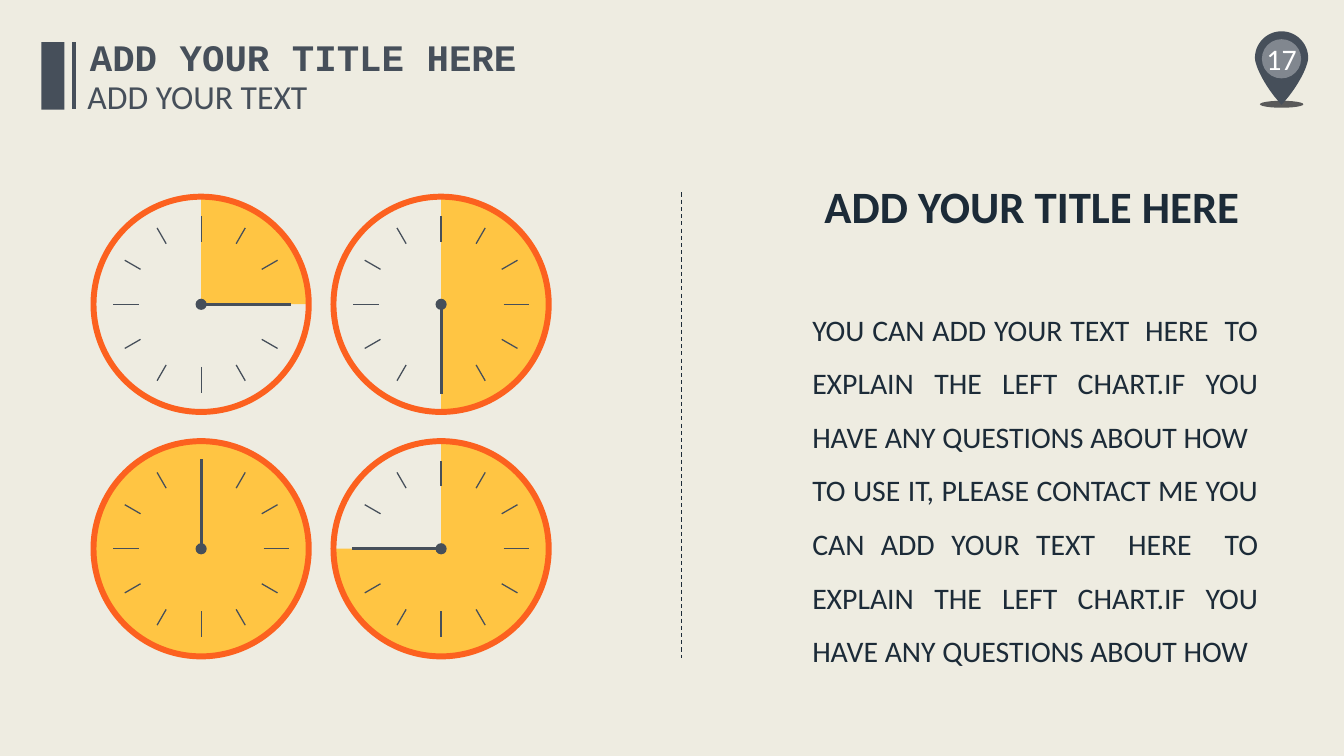
import math
from dataclasses import dataclass

import lxml.etree
import pptx
import pptx.chart.data
import pptx.dml.color
import pptx.enum.chart
import pptx.enum.dml
import pptx.enum.shapes
import pptx.enum.text
import pptx.oxml
import pptx.oxml.ns
import pptx.util

Pt = pptx.util.Pt
SHAPE = pptx.enum.shapes.MSO_SHAPE
ALIGN = pptx.enum.text.PP_ALIGN
ANCHOR = pptx.enum.text.MSO_ANCHOR


@dataclass
class Theme:
    """Colours, fonts and type sizes of the slide."""
    paper: str = "EEECE1"
    slate: str = "464F5A"
    navy: str = "1C2B38"
    orange: str = "FC611F"
    amber: str = "FFC543"
    shade: str = "595959"
    white: str = "FFFFFF"
    sans: str = "Calibri"
    mono: str = "Courier New"
    heading: float = 32
    title: float = 26.7
    subtitle: float = 24
    body: float = 21.3
    chart: float = 18


theme = Theme()
rgb = pptx.dml.color.RGBColor.from_string


def write(sp, text, size, color, font=theme.sans, bold=False, align=ALIGN.LEFT,
          anchor=ANCHOR.TOP, wrap=False, spacing=1.0):
    """Fill a shape with text, one paragraph per line, in one format."""
    tf = sp.text_frame
    tf.text = text
    tf.word_wrap = wrap
    tf.auto_size = pptx.enum.text.MSO_AUTO_SIZE.NONE
    tf.vertical_anchor = anchor
    for p in tf.paragraphs:
        p.alignment = align
        p.line_spacing = spacing
        p.space_before = Pt(0)
        f = p.runs[0].font
        f.size, f.name, f.bold = Pt(size), font, bold
        f.color.rgb = rgb(color)


def draw(kind, box, color, width=None):
    """Add a filled preset shape in a box, or a line from (x, y) to (x, y) if it has a width."""
    a, b, c, d = (Pt(round(v, 2)) for v in box)
    if width:
        sp = s.shapes.add_connector(kind, a, b, c, d)
        sp.line.color.rgb = rgb(color)
        sp.line.width = Pt(width)
        lxml.etree.SubElement(sp.element.spPr, pptx.oxml.ns.qn("a:effectLst"))
        return sp
    sp = s.shapes.add_shape(kind, a, b, c, d)
    sp.shadow.inherit = False
    sp.fill.solid()
    sp.fill.fore_color.rgb = rgb(color)
    sp.line.fill.background()
    return sp


LINE = pptx.enum.shapes.MSO_CONNECTOR.STRAIGHT

prs = pptx.Presentation()
prs.slide_width, prs.slide_height = Pt(960), Pt(540)
s = prs.slides.add_slide(prs.slide_layouts[1])
s.background.fill.solid()
s.background.fill.fore_color.rgb = rgb(theme.paper)
title, body = s.placeholders[0], s.placeholders[1]

# Page number pin
PIN_X, PIN_Y, PIN_R, TIP_Y = 915.4, 41.4, 19, 74.9
draw(SHAPE.OVAL, (900, 72, 31, 5), theme.shade)
outline = [(PIN_X + PIN_R * math.cos(math.radians(a)), PIN_Y - PIN_R * math.sin(math.radians(a)))
           for a in range(0, 181, 5)]
side = []
for step in range(1, 13):
    t = step / 12
    dx = PIN_R * (1 - t) ** 3 + 57 * t * (1 - t) ** 2 + 36 * t ** 2 * (1 - t)
    y = (PIN_Y * (1 - t) ** 3 + 3 * 47 * t * (1 - t) ** 2
         + 3 * 62 * t ** 2 * (1 - t) + TIP_Y * t ** 3)
    side.append((dx, y))
outline += [(PIN_X - dx, y) for dx, y in side]
outline += [(PIN_X + dx, y) for dx, y in reversed(side[:-1])]
builder = s.shapes.build_freeform(round(outline[0][0] * 100), round(outline[0][1] * 100),
                                  scale=Pt(1) / 100)
builder.add_line_segments([(round(x * 100), round(y * 100)) for x, y in outline[1:]], close=True)
pin = builder.convert_to_shape()
pin.shadow.inherit = False
pin.fill.solid()
pin.fill.fore_color.rgb = rgb(theme.slate)
pin.line.fill.background()
disc = draw(SHAPE.OVAL, (901.4, 28, 28, 28), theme.white)
disc_color = disc.element.spPr.find(".//" + pptx.oxml.ns.qn("a:srgbClr"))
lxml.etree.SubElement(disc_color, pptx.oxml.ns.qn("a:alpha"), val="32000")
number = s.shapes.add_textbox(Pt(885.4), Pt(27.4), Pt(60), Pt(28.8))
write(number, "17", theme.body, theme.white, align=ALIGN.CENTER, anchor=ANCHOR.MIDDLE)

divider = draw(LINE, (486.7, 137.5, 486.7, 470.2), theme.navy, 0.75)
divider.line.dash_style = pptx.enum.dml.MSO_LINE.DASH

# Clocks: a pie under a ring, twelve ticks, a hand and a hub
LEFT, TOP, COL_GAP, ROW_GAP = 143.7, 217.4, 171.4, 174.6
RING_R, PIE_SIDE, HAND, HUB_R = 79, 173.6, 64, 4
for i, percent in enumerate((25, 50, 100, 75)):
    cx, cy = LEFT + i % 2 * COL_GAP, TOP + i // 2 * ROW_GAP

    data = pptx.chart.data.CategoryChartData()
    data.categories = ["1", "2"]
    data.add_series("Series 1", (percent, 100 - percent))
    chart = s.shapes.add_chart(pptx.enum.chart.XL_CHART_TYPE.PIE,
                               Pt(cx - PIE_SIDE / 2), Pt(cy - PIE_SIDE / 2),
                               Pt(PIE_SIDE), Pt(PIE_SIDE), data).chart
    chart.has_legend = chart.has_title = False
    chart.font.size, chart.font.name = Pt(theme.chart), theme.sans
    chart.plots[0].vary_by_categories = True
    points = chart.plots[0].series[0].points
    points[0].format.fill.solid()
    points[0].format.fill.fore_color.rgb = rgb(theme.amber)
    points[1].format.fill.background()
    for n in range(2):
        points[n].format.line.fill.background()
    ns = pptx.oxml.ns.nsdecls("c", "a")
    area = chart.element.find(".//" + pptx.oxml.ns.qn("c:plotArea"))
    for old in area.findall(pptx.oxml.ns.qn("c:layout")):
        area.remove(old)
    area.insert(0, pptx.oxml.parse_xml(
        f'<c:layout {ns}><c:manualLayout><c:layoutTarget val="inner"/>'
        '<c:xMode val="edge"/><c:yMode val="edge"/><c:x val="0.06"/><c:y val="0.06"/>'
        '<c:w val="0.88"/><c:h val="0.88"/></c:manualLayout></c:layout>'))
    chart.element.find(pptx.oxml.ns.qn("c:chart")).addnext(pptx.oxml.parse_xml(
        f'<c:spPr {ns}><a:noFill/><a:ln><a:noFill/></a:ln></c:spPr>'))

    ring = draw(SHAPE.DONUT, (cx - RING_R, cy - RING_R, 2 * RING_R, 2 * RING_R), theme.orange)
    ring.adjustments[0] = 0.027
    strokes = [(hour * 30, 44.6 if hour % 3 == 0 else 50, 63, 0.9) for hour in range(12)]
    strokes.append((percent * 3.6, 0, HAND, 2.2))
    for angle, inner, outer, width in strokes:
        ux, uy = math.sin(math.radians(angle)), -math.cos(math.radians(angle))
        draw(LINE, (cx + inner * ux, cy + inner * uy, cx + outer * ux, cy + outer * uy),
             theme.slate, width)
    draw(SHAPE.OVAL, (cx - HUB_R, cy - HUB_R, 2 * HUB_R, 2 * HUB_R), theme.slate)

# Explanation
body.left, body.top, body.width, body.height = Pt(573), Pt(206), Pt(333), Pt(278.6)
explanation = ("TO EXPLAIN THE LEFT CHART.IF YOU HAVE ANY QUESTIONS ABOUT HOW")
write(body, f"YOU CAN ADD YOUR TEXT  HERE  {explanation}\n"
      f"TO USE IT, PLEASE CONTACT ME YOU CAN ADD YOUR TEXT  HERE  {explanation}",
      theme.body, theme.navy, align=ALIGN.JUSTIFY, wrap=True, spacing=1.5)
for p in body.text_frame.paragraphs:
    pPr = p._p.get_or_add_pPr()
    pPr.set("marL", "0")
    pPr.set("indent", "0")
    lxml.etree.SubElement(pPr, pptx.oxml.ns.qn("a:buNone"))
heading = s.shapes.add_textbox(Pt(580.3), Pt(123.8), Pt(321), Pt(46))
write(heading, "ADD YOUR TITLE HERE ", theme.heading, theme.navy, bold=True, align=ALIGN.CENTER)

# Header
draw(SHAPE.RECTANGLE, (29.5, 30.2, 16.6, 48.2), theme.slate)
draw(LINE, (52.6, 30.2, 52.6, 77.8), theme.slate, 3)
title.left, title.top, title.width, title.height = Pt(56.9), Pt(20.9), Pt(319.7), Pt(39.6)
write(title, "ADD YOUR TITLE HERE", theme.title, theme.slate, font=theme.mono, bold=True,
      align=ALIGN.CENTER)
subtitle = s.shapes.add_textbox(Pt(55.4), Pt(50.4), Pt(173.5), Pt(36))
write(subtitle, "ADD YOUR TEXT", theme.subtitle, theme.slate)

prs.save("out.pptx")
